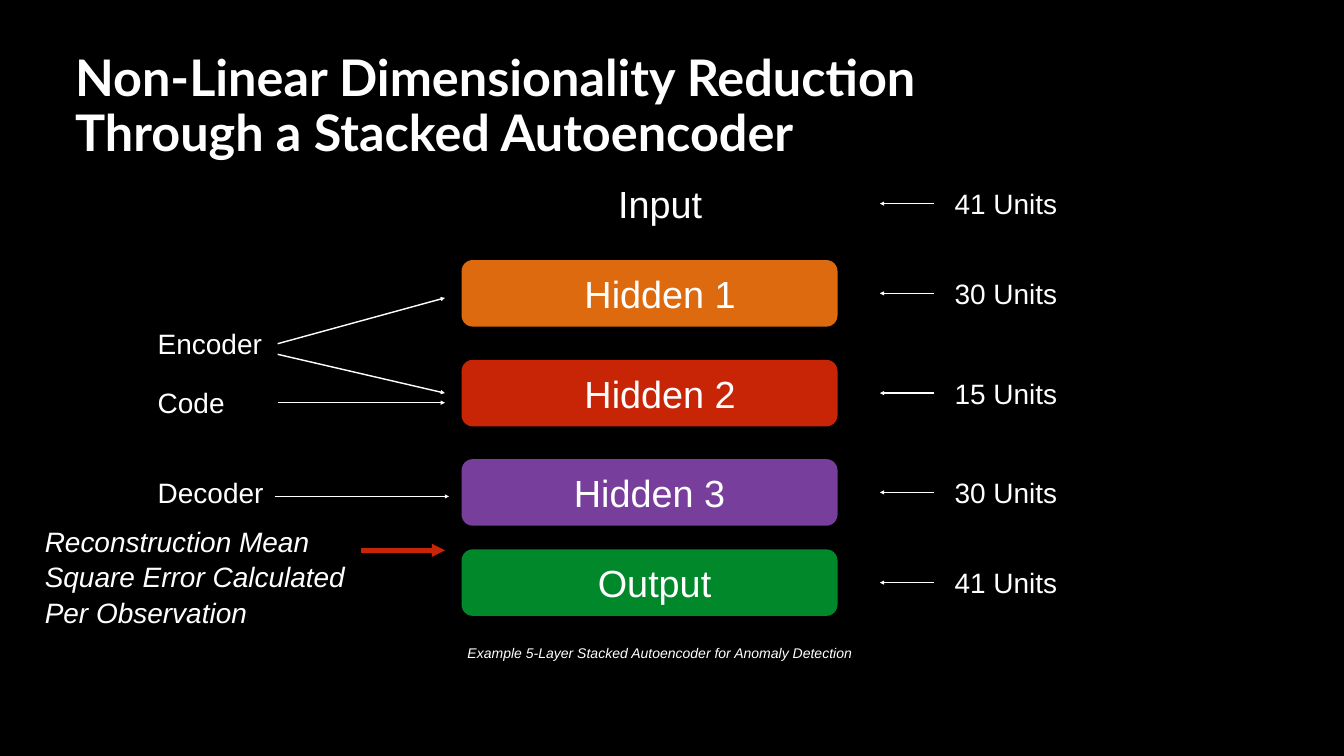
from pptx import Presentation
from pptx.dml.color import RGBColor
from pptx.enum.shapes import MSO_CONNECTOR as CONN, MSO_SHAPE as SHAPE
from pptx.enum.text import MSO_ANCHOR as ANCHOR, PP_ALIGN as ALIGN
from pptx.oxml.ns import qn
from pptx.util import Inches, Pt
from lxml.etree import SubElement

WHITE, RED = "FFFFFF", "C82506"
PAD = Inches(0.08)
BAR_X, BAR_W, BAR_H = 9.16, 7.46, 1.32
LABEL_W, LABEL_H = 5.54, 1.19
UNITS_X, UNITS_W, NOTE_H = 17.36, 5.2, 0.93
SIDE_X, SIDE_W = 3.05, 3.75

prs = Presentation()
prs.slide_width, prs.slide_height = Inches(26.67), Inches(15)
s = prs.slides.add_slide(prs.slide_layouts[5])
s.background.fill.solid()
s.background.fill.fore_color.rgb = RGBColor.from_string("000000")


def write(sp, text, size, align=ALIGN.LEFT, anchor=ANCHOR.MIDDLE, font="Arial",
          bold=False, italic=False, spacing=None):
    tf = sp.text_frame
    tf.word_wrap = True
    tf.vertical_anchor = anchor
    tf.margin_left = tf.margin_right = tf.margin_top = tf.margin_bottom = PAD
    p = tf.paragraphs[0]
    p.text = text
    p.alignment = align
    p.line_spacing = spacing
    p.font.name, p.font.size = font, Pt(size)
    p.font.bold, p.font.italic = bold, italic
    p.font.color.rgb = RGBColor.from_string(WHITE)


def arrow(x1, y1, x2, y2, color=WHITE, width=2):
    c = s.shapes.add_connector(CONN.STRAIGHT, Inches(x1), Inches(y1), Inches(x2), Inches(y2))
    c.line.color.rgb = RGBColor.from_string(color)
    c.line.width = Pt(width)
    SubElement(c.line._get_or_add_ln(), qn("a:tailEnd"), type="triangle")
    SubElement(c._element.spPr, qn("a:effectLst"))


title = s.shapes.title
title.left, title.top, title.width, title.height = map(Inches, (1.41, 0.98, 19.54, 1.62))
write(title, "Non-Linear Dimensionality Reduction Through a Stacked Autoencoder", 72,
      anchor=ANCHOR.TOP, font="Lato", bold=True, spacing=0.9)

layers = [
    ("Input", 10.33, 4.04, None, 41),
    ("Hidden 1", 10.33, 5.82, "DE6A10", 30),
    ("Hidden 2", 10.33, 7.8, RED, 15),
    ("Hidden 3", 10.12, 9.77, "773F9B", 30),
    ("Output", 10.22, 11.56, "00882B", 41),
]
for name, x, mid, color, units in layers:
    if color:
        bar = s.shapes.add_shape(SHAPE.ROUNDED_RECTANGLE, Inches(BAR_X), Inches(mid - BAR_H / 2),
                                 Inches(BAR_W), Inches(BAR_H))
        bar.shadow.inherit = False
        bar.fill.solid()
        bar.fill.fore_color.rgb = RGBColor.from_string(color)
        bar.line.fill.background()
    label = s.shapes.add_textbox(Inches(x), Inches(mid - LABEL_H / 2),
                                 Inches(LABEL_W), Inches(LABEL_H))
    write(label, name, 54, ALIGN.CENTER)
    count = s.shapes.add_textbox(Inches(UNITS_X), Inches(mid - NOTE_H / 2),
                                 Inches(UNITS_W), Inches(NOTE_H))
    write(count, f"{units} Units", 40, ALIGN.CENTER)
    arrow(18.53, mid, 17.46, mid)

for name, mid in [("Encoder", 6.82), ("Code", 7.99), ("Decoder", 9.77)]:
    side = s.shapes.add_textbox(Inches(SIDE_X), Inches(mid - NOTE_H / 2),
                                Inches(SIDE_W), Inches(NOTE_H))
    write(side, name, 40)

arrow(5.51, 6.82, 8.83, 5.91)
arrow(5.51, 7.03, 8.83, 7.8)
arrow(5.51, 7.99, 8.83, 7.99)
arrow(5.45, 9.85, 8.91, 9.85)
arrow(7.17, 10.92, 8.83, 10.92, RED, 6.25)

caption = s.shapes.add_textbox(Inches(7.61), Inches(12.68), Inches(10.97), Inches(0.55))
write(caption, "Example 5-Layer Stacked Autoencoder for Anomaly Detection", 20,
      ALIGN.CENTER, italic=True)

error = s.shapes.add_textbox(Inches(0.79), Inches(10.31), Inches(6.82), Inches(2.12))
write(error, "Reconstruction Mean Square Error Calculated Per Observation", 40,
      anchor=ANCHOR.TOP, italic=True, spacing=1.06)
error.text_frame.margin_left = error.text_frame.margin_right = Inches(0.1)
error.text_frame.margin_top = error.text_frame.margin_bottom = Inches(0.05)

prs.save("out.pptx")
